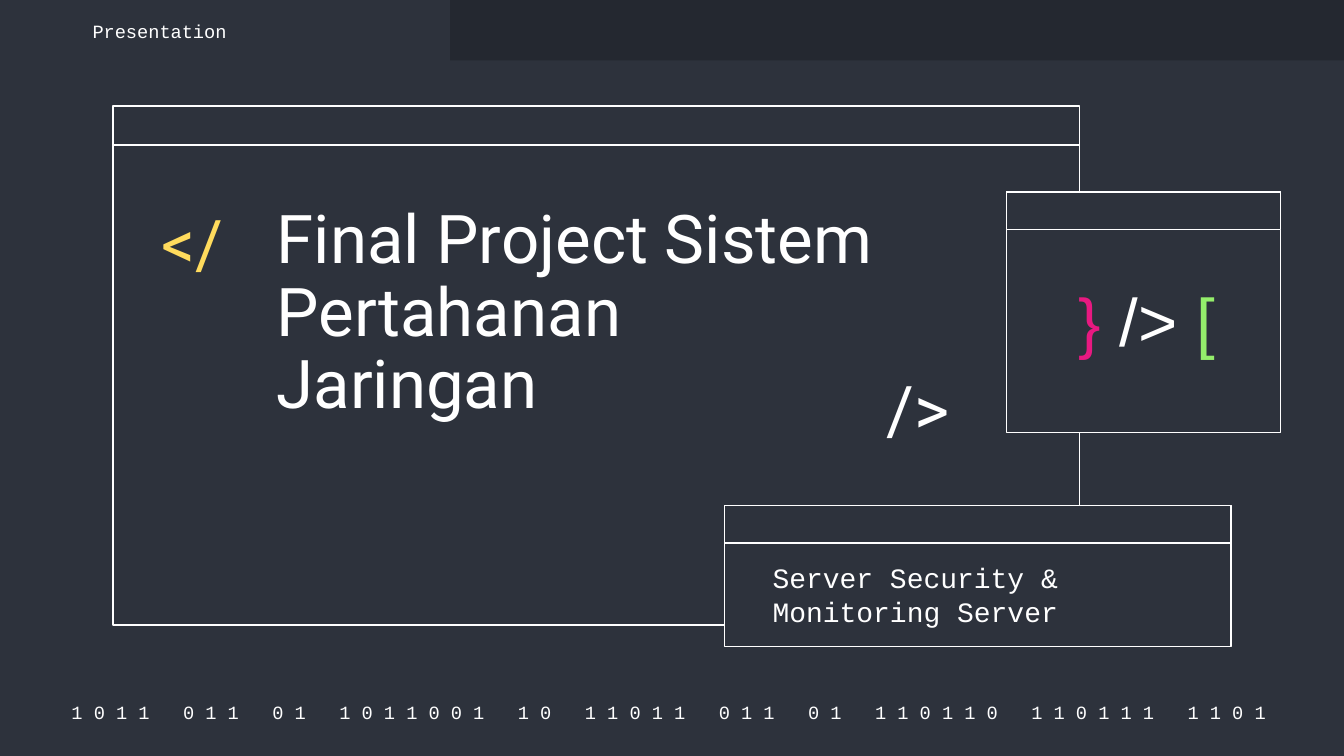
from dataclasses import dataclass

from pptx import Presentation
from pptx.dml.color import RGBColor
from pptx.enum import shapes, text
from pptx.util import Inches, Pt

WHITE, DARK, NIGHT = "FFFFFF", "2D323C", "242830"
YELLOW, PINK, GREEN = "FFDB5D", "E81981", "94EE6B"
MONO, SANS = "Courier New", "Roboto"
LEFT, MID = text.PP_ALIGN.LEFT, text.PP_ALIGN.CENTER
TOP, CENTER = text.MSO_ANCHOR.TOP, text.MSO_ANCHOR.MIDDLE
BITS = "1011 011 01 1011001 10 11011 011 01 110110 110111 1101"

Box = tuple[float, float, float, float]


@dataclass
class Window:
    box: Box
    bar: float


@dataclass
class Label:
    box: Box
    runs: list[tuple[str, str]]
    size: float
    font: str = SANS
    align: text.PP_ALIGN = LEFT
    anchor: text.MSO_ANCHOR = CENTER
    lead: float = 1.0


def color(code: str) -> RGBColor:
    return RGBColor.from_string(code)


def place(box: Box) -> list[int]:
    return [Inches(n) for n in box]


def draw_rect(host, box: Box, fill: str, line: str | None = None) -> None:
    rect = host.shapes.add_shape(shapes.MSO_SHAPE.RECTANGLE, *place(box))
    rect.shadow.inherit = False
    rect.fill.solid()
    rect.fill.fore_color.rgb = color(fill)
    if line:
        rect.line.color.rgb = color(line)
        rect.line.width = Pt(0.75)
    else:
        rect.line.fill.background()


def draw_window(slide, win: Window) -> None:
    """Group a framed pane with its title bar."""
    group = slide.shapes.add_group_shape()
    for high in (win.box[3], win.bar):
        draw_rect(group, (*win.box[:3], high), DARK, WHITE)


def draw_label(slide, label: Label) -> None:
    frame = slide.shapes.add_textbox(*place(label.box)).text_frame
    frame.word_wrap = True
    frame.vertical_anchor = label.anchor
    frame.margin_left = frame.margin_right = Inches(0.1)
    frame.margin_top = frame.margin_bottom = Inches(0.1)
    para = frame.paragraphs[0]
    para.alignment = label.align
    para.line_spacing = label.lead
    para.font.size = Pt(label.size)
    para.font.name = label.font
    for words, tint in label.runs:
        run = para.add_run()
        run.text = words
        run.font.color.rgb = color(tint)


WINDOWS = [
    Window((0.84, 0.79, 7.19, 3.86), 0.29),
    Window((5.39, 3.76, 3.77, 1.05), 0.28),
    Window((7.49, 1.43, 2.04, 1.79), 0.28),
]

digits = "   ".join(" ".join(word) for word in BITS.split()) + " "
LABELS = [
    Label((0.38, 5.2, 9.27, 0.2), [(digits, WHITE)], 10, MONO, MID),
    Label((1.1, 1.51, 0.77, 0.66), [("</", YELLOW)], 36, lead=0.9),
    Label((6.5, 2.74, 0.77, 0.66), [("/>", WHITE)], 36, lead=0.9),
    Label((7.87, 2.05, 1.33, 0.82),
          [("}", PINK), (" /> ", WHITE), ("[", GREEN)],
          36, "Arial", MID, TOP, 0.9),
    Label((1.96, 1.43, 4.75, 1.83),
          [("Final Project Sistem Pertahanan Jaringan", WHITE)],
          36, anchor=TOP, lead=0.9),
    Label((5.65, 4.13, 3.33, 0.58),
          [("Server Security & Monitoring Server", WHITE)], 15, MONO),
    Label((0.59, 0.13, 2.19, 0.2), [("Presentation", WHITE)], 10, MONO),
]


def main() -> None:
    deck = Presentation()
    deck.slide_width = Inches(10)
    deck.slide_height = Inches(10) * 9 // 16
    slide = deck.slides.add_slide(deck.slide_layouts[6])
    back = slide.background.fill
    back.solid()
    back.fore_color.rgb = color(DARK)

    draw_rect(slide, (3.35, 0, 6.65, 0.45), NIGHT)
    for win in WINDOWS:
        draw_window(slide, win)
    for label in LABELS:
        draw_label(slide, label)
    deck.save("out.pptx")


if __name__ == "__main__":
    main()
